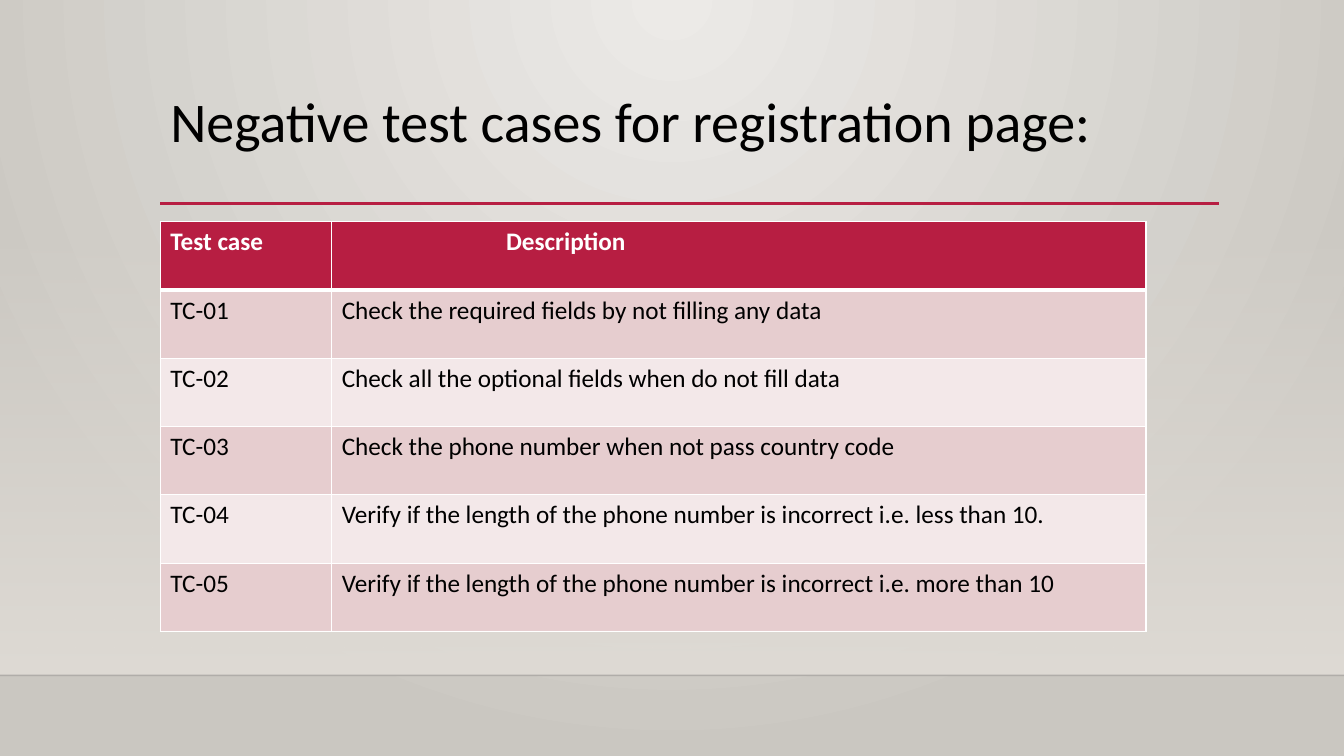
import lxml.etree
import pptx
import pptx.dml.color
import pptx.enum.shapes
import pptx.enum.text
import pptx.oxml.ns
import pptx.util

Cm = pptx.util.Cm
Pt = pptx.util.Pt
RGBColor = pptx.dml.color.RGBColor
qn = pptx.oxml.ns.qn

RED = RGBColor(0xB7, 0x1E, 0x42)
ROSE = RGBColor(0xE6, 0xCD, 0xCF)
PALE = RGBColor(0xF3, 0xE8, 0xE9)
WHITE = RGBColor(0xFF, 0xFF, 0xFF)
BLACK = RGBColor(0, 0, 0)
INK = RGBColor(0, 0, 1)
LIGHT = RGBColor(0xEC, 0xEA, 0xE7)
STONE = RGBColor(0xCA, 0xC7, 0xC1)
SAND = RGBColor(0xDF, 0xDB, 0xD5)

WIDE = Cm(33.87)
LEFT = Cm(4.04)
FLOOR = Cm(17.02)

CASES = [
    ("Test case", "Description"),
    ("TC-01", "Check the required fields by not filling any data"),
    ("TC-02", "Check all the optional fields when do not fill data"),
    ("TC-03", "Check the phone number when not pass country code"),
    ("TC-04", "Verify if the length of the phone number is incorrect i.e. less than 10."),
    ("TC-05", "Verify if the length of the phone number is incorrect i.e. more than 10"),
]


def add(node, tag, **marks):
    return lxml.etree.SubElement(node, qn(tag), **marks)


class Page:
    font = "Calibri"

    def __init__(self, deck):
        self.slide = deck.slides.add_slide(deck.slide_layouts[5])

    def blend(self, fill, tones):
        fill.gradient()
        for stop, tone in zip(fill.gradient_stops, tones):
            stop.color.rgb = tone

    def ground(self, tones):
        self.blend(self.slide.background.fill, tones)
        grad = next(self.slide.element.iter(qn("a:gradFill")))
        grad.remove(grad.find(qn("a:lin")))
        ring = add(grad, "a:path", path="circle")
        add(ring, "a:fillToRect", l="43000", t="0", r="43000", b="100000")

    def fade(self, top, high, tone):
        kind = pptx.enum.shapes.MSO_SHAPE.RECTANGLE
        band = self.slide.shapes.add_shape(kind, 0, top, WIDE, high)
        band.shadow.inherit = False
        band.line.fill.background()
        self.blend(band.fill, (tone, tone))
        band.fill.gradient_angle = 270
        first = next(band.element.iter(qn("a:srgbClr")))
        add(first, "a:alpha", val="0")

    def rule(self, left, right, y, tone, width, alpha=100):
        kind = pptx.enum.shapes.MSO_CONNECTOR.STRAIGHT
        line = self.slide.shapes.add_connector(kind, left, y, right, y)
        line.line.color.rgb = tone
        line.line.width = Pt(width)
        if alpha < 100:
            ink = next(line.element.iter(qn("a:srgbClr")))
            add(ink, "a:alpha", val=str(alpha * 1000))
        add(line.element.spPr, "a:effectLst")

    def style(self, para, size, tone, bold=False):
        for run in para.runs:
            run.font.name = self.font
            run.font.size = Pt(size)
            run.font.color.rgb = tone
            run.font.bold = bold

    def title(self, text, left, top, width, high):
        box = self.slide.shapes.title
        box.left, box.top, box.width, box.height = left, top, width, high
        frame = box.text_frame
        frame.text = text
        frame.word_wrap = True
        frame.auto_size = pptx.enum.text.MSO_AUTO_SIZE.NONE
        frame.vertical_anchor = pptx.enum.text.MSO_ANCHOR.TOP
        para = frame.paragraphs[0]
        para.alignment = pptx.enum.text.PP_ALIGN.LEFT
        para.line_spacing = 0.9
        self.style(para, 40, BLACK)

    def edge(self, cell, side, width):
        line = add(cell._tc.get_or_add_tcPr(), "a:" + side, w=str(Pt(width)))
        add(add(line, "a:solidFill"), "a:srgbClr", val=str(WHITE))

    def table(self, rows, left, top, widths, high):
        shape = self.slide.shapes.add_table(
            len(rows), len(widths), left, top, sum(widths), high * len(rows))
        grid = shape.table
        for col, width in zip(grid.columns, widths):
            col.width = width
        for i, row in enumerate(rows):
            grid.rows[i].height = high
            for j, text in enumerate(row):
                self.cell(grid.cell(i, j), text, i)
        return grid

    def cell(self, cell, text, i):
        head = i == 0
        cell.text_frame.text = text
        self.style(cell.text_frame.paragraphs[0], 18, WHITE if head else BLACK, head)
        self.edge(cell, "lnL", 1)
        self.edge(cell, "lnR", 1)
        self.edge(cell, "lnT", 3 if i == 1 else 1)
        self.edge(cell, "lnB", 3 if head else 1)
        cell.fill.solid()
        cell.fill.fore_color.rgb = RED if head else (PALE, ROSE)[i % 2]


deck = pptx.Presentation()
deck.slide_width = WIDE
deck.slide_height = Cm(19.05)

page = Page(deck)
page.ground((LIGHT, STONE))
page.fade(Cm(5.61), FLOOR - Cm(5.61), SAND)
page.rule(0, WIDE, FLOOR, INK, 1, 20)
page.rule(LEFT, Cm(30.73), Cm(5.13), RED, 2.5)
page.title("Negative test cases for registration page:",
           LEFT, Cm(2.24), Cm(26.67), Cm(2.92))
grid = page.table(CASES, LEFT, Cm(5.59), (Cm(4.32), Cm(20.52)), Cm(1.72))
head = grid.cell(0, 1).text_frame.paragraphs[0]
head._p.get_or_add_pPr().set("marL", str(Cm(4.14)))

deck.save("out.pptx")
